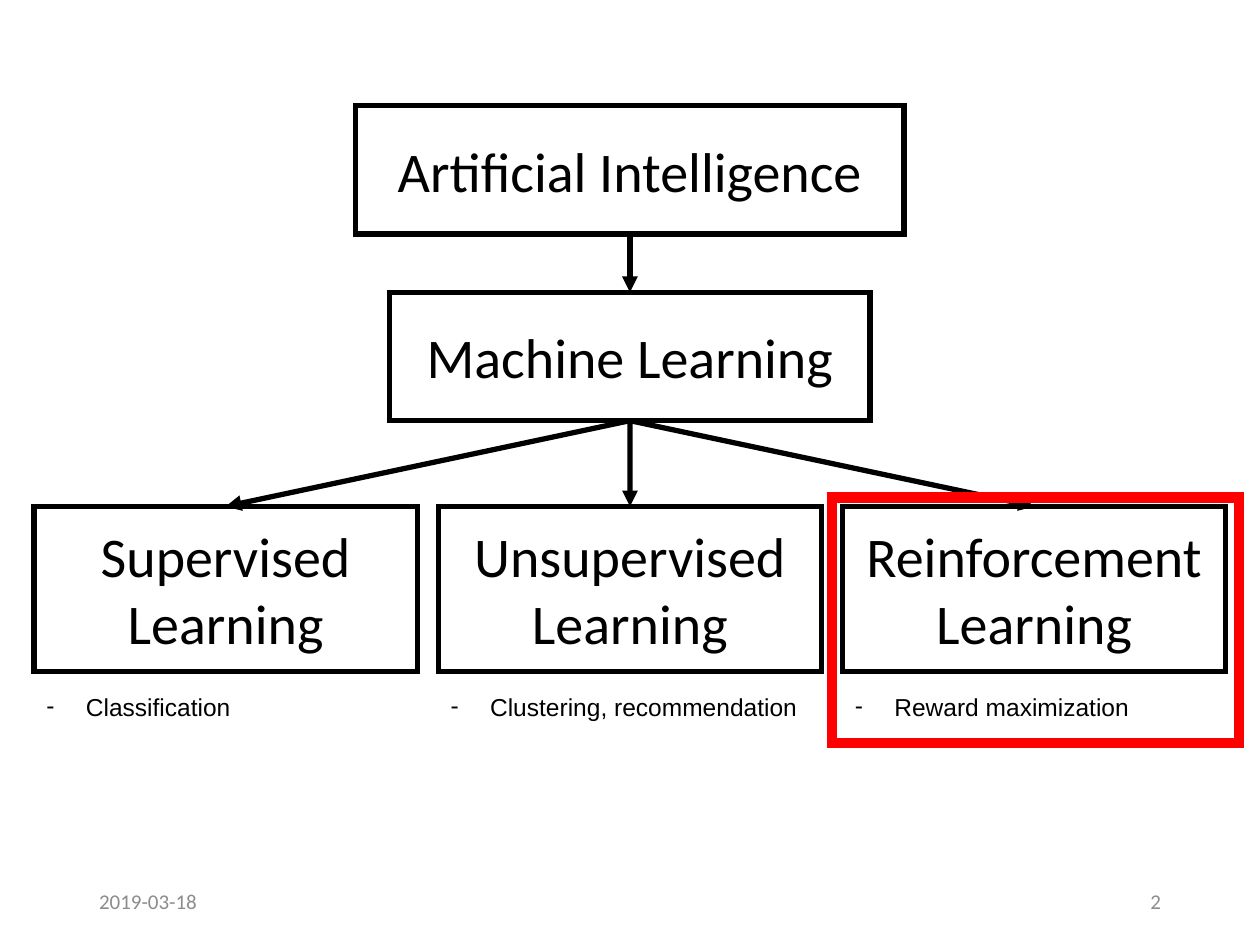
from lxml.etree import SubElement
from pptx import Presentation
from pptx.dml.color import RGBColor
from pptx.enum.shapes import MSO_CONNECTOR, MSO_SHAPE
from pptx.enum.text import MSO_ANCHOR, MSO_AUTO_SIZE, PP_ALIGN
from pptx.oxml.ns import qn
from pptx.util import Pt


def color(value):
    return RGBColor.from_string(value)


def write(paragraph, text, size, font, fill):
    span = paragraph.add_run()
    span.text = text
    span.font.size = Pt(size)
    span.font.name = font
    span.font.color.rgb = color(fill)


deck = Presentation()
deck.slide_width, deck.slide_height = Pt(720), Pt(540)
page = deck.slides.add_slide(deck.slide_layouts[6])

for left, text, alignment in [
    (49.5, "2019-03-18", PP_ALIGN.LEFT),
    (508.5, "2", PP_ALIGN.RIGHT),
]:
    footer = page.shapes.add_textbox(Pt(left), Pt(500.5), Pt(162), Pt(28.75))
    footer.text_frame.word_wrap = True
    footer.text_frame.vertical_anchor = MSO_ANCHOR.MIDDLE
    footer.text_frame.paragraphs[0].alignment = alignment
    write(footer.text_frame.paragraphs[0], text, 12, "Calibri", "8C8C8C")

center, column_pitch, column_width = 360, 231, 219
branches = [
    (center - column_pitch, ["Supervised", "Learning"], "Classification"),
    (center, ["Unsupervised Learning"], "Clustering, recommendation"),
    (center + column_pitch, ["Reinforcement", "Learning"], "Reward maximization"),
]
nodes = [
    (center, 60.3, 313.4, 73.4, ["Artificial Intelligence"]),
    (center, 167, 274.4, 73.4, ["Machine Learning"]),
]
nodes += [(middle, 289.4, column_width, 94.3, lines) for middle, lines, task in branches]

boxes = []
for middle, top, width, height, lines in nodes:
    box = page.shapes.add_shape(
        MSO_SHAPE.RECTANGLE, Pt(middle - width / 2), Pt(top), Pt(width), Pt(height)
    )
    box.shadow.inherit = False
    box.fill.solid()
    box.fill.fore_color.rgb = color("FFFFFF")
    box.line.color.rgb = color("000000")
    box.line.width = Pt(3)
    SubElement(box.element.spPr.find(qn("a:ln")), qn("a:miter"), lim="800000")
    frame = box.text_frame
    frame.word_wrap = True
    frame.vertical_anchor = MSO_ANCHOR.MIDDLE
    for index, line in enumerate(lines):
        paragraph = frame.add_paragraph() if index else frame.paragraphs[0]
        paragraph.alignment = PP_ALIGN.CENTER
        write(paragraph, line, 32, "Calibri", "000000")
    boxes.append(box)

intelligence, learning, *kinds = boxes
for parent, child in [(intelligence, learning)] + [(learning, kind) for kind in kinds]:
    arrow = page.shapes.add_connector(MSO_CONNECTOR.STRAIGHT, 0, 0, 0, 0)
    arrow.begin_connect(parent, 2)
    arrow.end_connect(child, 0)
    arrow.line.color.rgb = color("000000")
    arrow.line.width = Pt(3)
    properties = arrow.element.spPr
    SubElement(properties.find(qn("a:ln")), qn("a:tailEnd"), type="triangle")
    SubElement(properties, qn("a:effectLst"))

for middle, lines, task in branches:
    note = page.shapes.add_textbox(
        Pt(middle - column_width / 2), Pt(391.7), Pt(column_width), Pt(24.2)
    )
    note.text_frame.word_wrap = True
    note.text_frame.auto_size = MSO_AUTO_SIZE.SHAPE_TO_FIT_TEXT
    paragraph = note.text_frame.paragraphs[0]
    settings = paragraph._p.get_or_add_pPr()
    settings.set("marL", str(Pt(22.5)))
    settings.set("indent", str(-Pt(22.5)))
    SubElement(settings, qn("a:buFont"), typeface="Arial")
    SubElement(settings, qn("a:buChar"), char="-")
    write(paragraph, task, 14, "Arial", "000000")

highlight = page.shapes.add_shape(
    MSO_SHAPE.RECTANGLE, Pt(475.3), Pt(284.2), Pt(232.7), Pt(140.5)
)
highlight.shadow.inherit = False
highlight.fill.background()
highlight.line.color.rgb = color("FF0000")
highlight.line.width = Pt(6)
SubElement(highlight.element.spPr.find(qn("a:ln")), qn("a:miter"), lim="800000")

deck.save("out.pptx")
